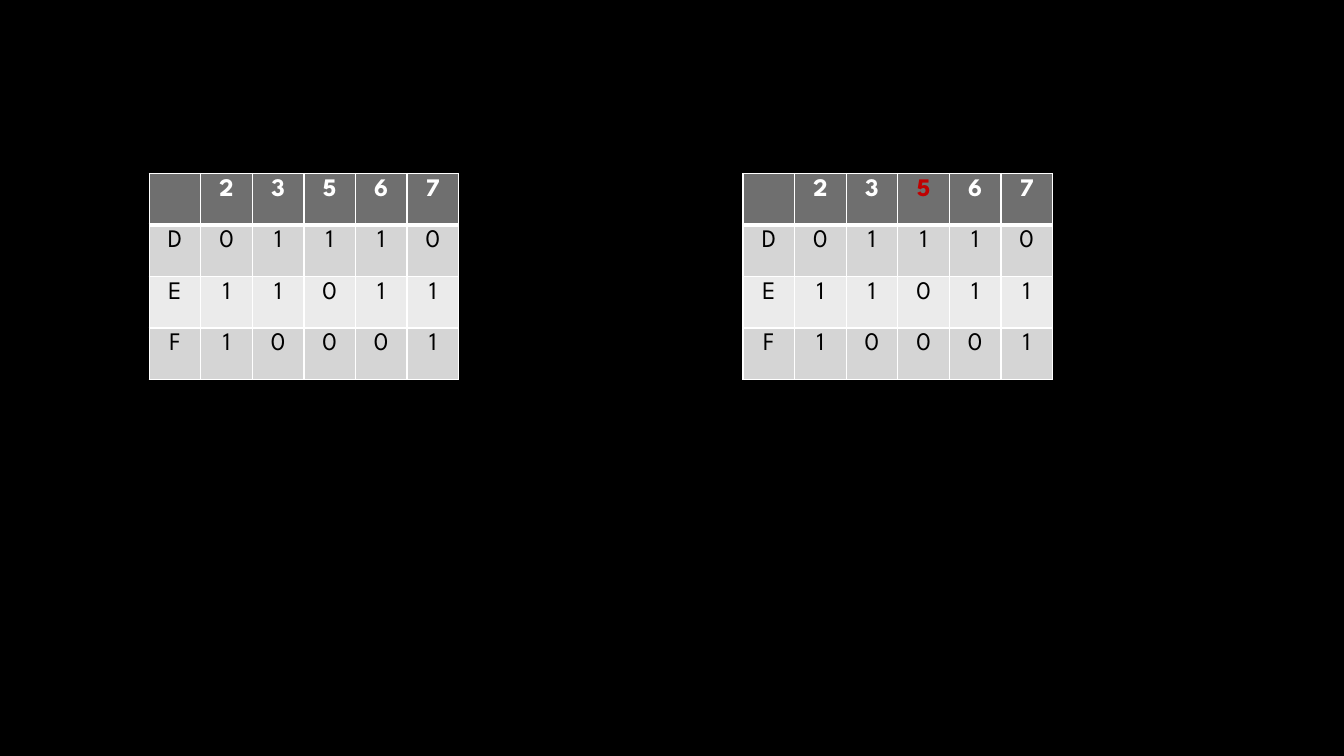
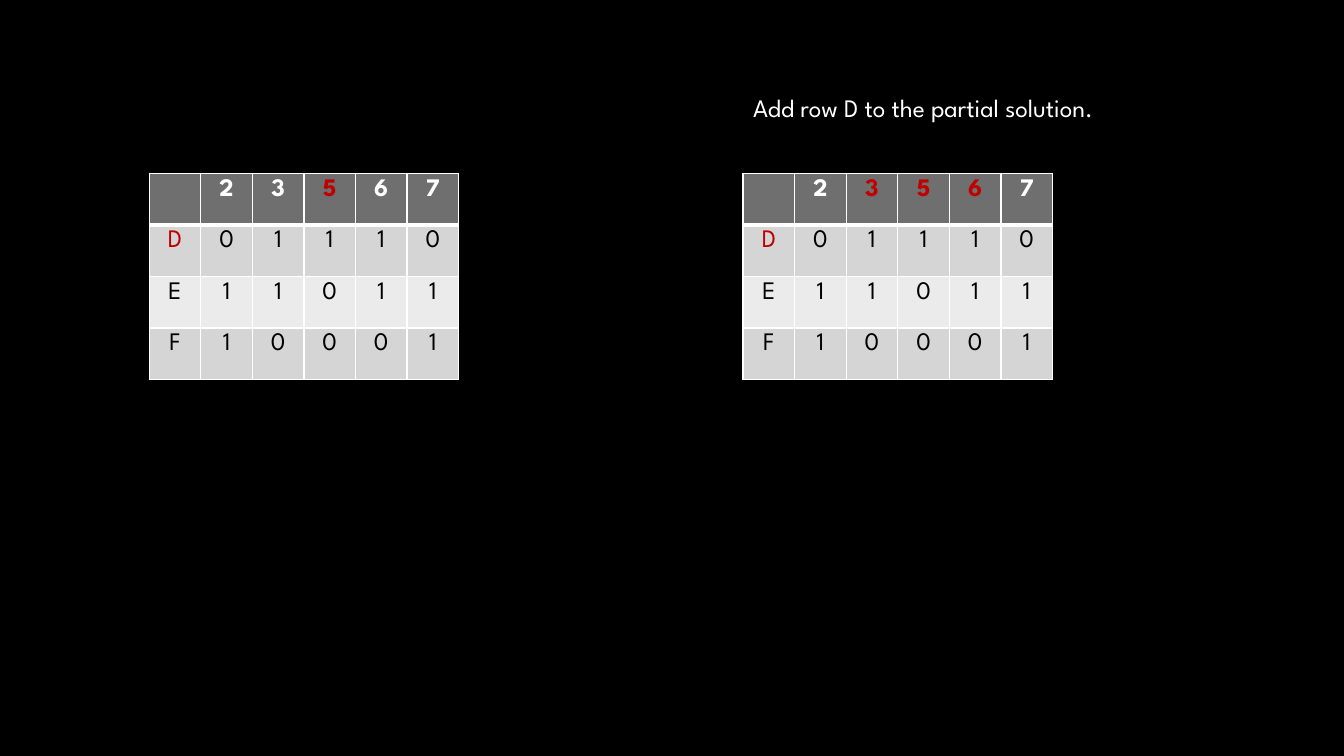
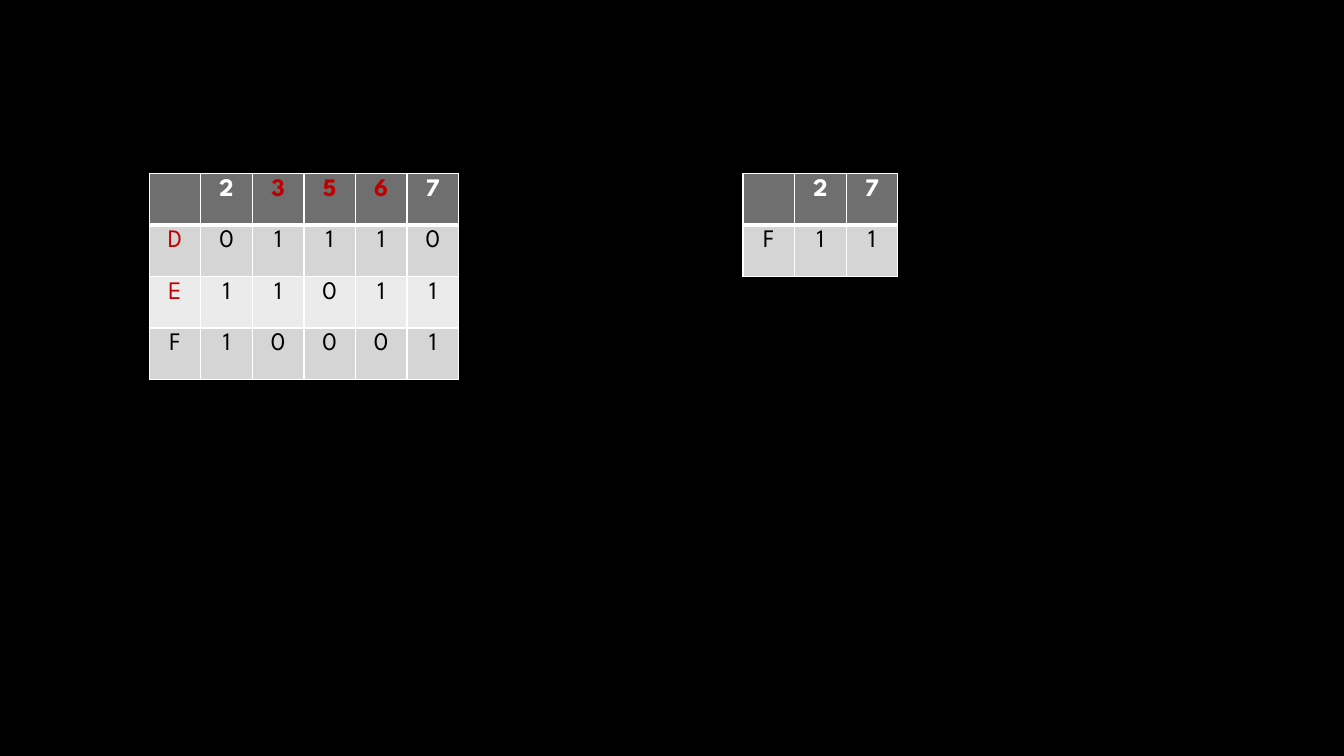
import dataclasses

import lxml.etree
import pptx
import pptx.dml.color
import pptx.enum.text
import pptx.oxml.ns
import pptx.slide
import pptx.table
import pptx.text.text
import pptx.util

Inches = pptx.util.Inches


@dataclasses.dataclass(frozen=True)
class Theme:
    font: str = "League Spartan"
    size: int = 18
    back: str = "000000"
    light: str = "FFFFFF"
    dark: str = "000000"
    mark: str = "C00000"
    head: str = "6F6F6F"
    bands: tuple[str, str] = ("D5D5D5", "EBEBEB")
    thin: int = 1
    thick: int = 3


@dataclasses.dataclass(frozen=True)
class Matrix:
    heads: str
    rows: tuple[str, ...]
    marks: str = ""


@dataclasses.dataclass(frozen=True)
class Scene:
    left: Matrix
    right: Matrix
    note: str = ""


THEME = Theme()
SIDE = Inches(3.07) // 6
LEFT, RIGHT, TOP = Inches(1.48), Inches(7.37), Inches(1.72)

FULL = Matrix("23567", ("D01110", "E11011", "F10001"))
FIRST = dataclasses.replace(FULL, marks="5")
SECOND = dataclasses.replace(FULL, marks="D5")
THIRD = dataclasses.replace(FULL, marks="D356")
FOURTH = dataclasses.replace(FULL, marks="DE356")
SMALL = Matrix("27", ("F11",))

SCENES = (
    Scene(FULL, FIRST),
    Scene(SECOND, THIRD, "Add row D to the partial solution."),
    Scene(FOURTH, SMALL),
)


def color(code: str) -> pptx.dml.color.RGBColor:
    return pptx.dml.color.RGBColor.from_string(code)


def write(para: pptx.text.text._Paragraph, text: str, tint: str, bold: bool = False) -> None:
    run = para.add_run()
    run.text = text
    run.font.name = THEME.font
    run.font.size = pptx.util.Pt(THEME.size)
    run.font.bold = bold
    run.font.color.rgb = color(tint)


def border(cell: pptx.table._Cell, row: int) -> None:
    qn = pptx.oxml.ns.qn
    props = cell._tc.get_or_add_tcPr()
    heavy = {0: "lnB", 1: "lnT"}.get(row)
    for edge in ("lnL", "lnR", "lnT", "lnB"):
        width = THEME.thick if edge == heavy else THEME.thin
        line = lxml.etree.SubElement(props, qn(f"a:{edge}"), w=str(pptx.util.Pt(width)))
        fill = lxml.etree.SubElement(line, qn("a:solidFill"))
        lxml.etree.SubElement(fill, qn("a:srgbClr"), val=THEME.light)


def paint(cell: pptx.table._Cell, row: int, text: str, marked: bool) -> None:
    head = row == 0
    border(cell, row)
    cell.fill.solid()
    cell.fill.fore_color.rgb = color(THEME.head if head else THEME.bands[(row - 1) % 2])
    para = cell.text_frame.paragraphs[0]
    para.alignment = pptx.enum.text.PP_ALIGN.CENTER
    if text:
        plain = THEME.light if head else THEME.dark
        write(para, text, THEME.mark if marked else plain, head)


def draw(slide: pptx.slide.Slide, matrix: Matrix, left: int) -> None:
    lines = [["", *matrix.heads], *map(list, matrix.rows)]
    high, wide = len(lines), len(lines[0])
    table = slide.shapes.add_table(high, wide, left, TOP, SIDE * wide, SIDE * high).table
    for band in (*table.columns, ):
        band.width = SIDE
    for band in table.rows:
        band.height = SIDE
    for row, line in enumerate(lines):
        for col, text in enumerate(line):
            label = row == 0 or col == 0
            paint(table.cell(row, col), row, text, label and text in matrix.marks)


def caption(slide: pptx.slide.Slide, text: str) -> None:
    box = slide.shapes.add_textbox(RIGHT, Inches(0.87), Inches(4.21), Inches(0.4))
    frame = box.text_frame
    frame.word_wrap = True
    frame.auto_size = pptx.enum.text.MSO_AUTO_SIZE.SHAPE_TO_FIT_TEXT
    write(frame.paragraphs[0], text, THEME.light)


def main() -> None:
    deck = pptx.Presentation()
    deck.slide_width, deck.slide_height = Inches(13.33), Inches(7.5)
    back = deck.slide_master.background.fill
    back.solid()
    back.fore_color.rgb = color(THEME.back)
    for scene in SCENES:
        slide = deck.slides.add_slide(deck.slide_layouts[6])
        draw(slide, scene.left, LEFT)
        draw(slide, scene.right, RIGHT)
        if scene.note:
            caption(slide, scene.note)
    deck.save("out.pptx")


if __name__ == "__main__":
    main()
